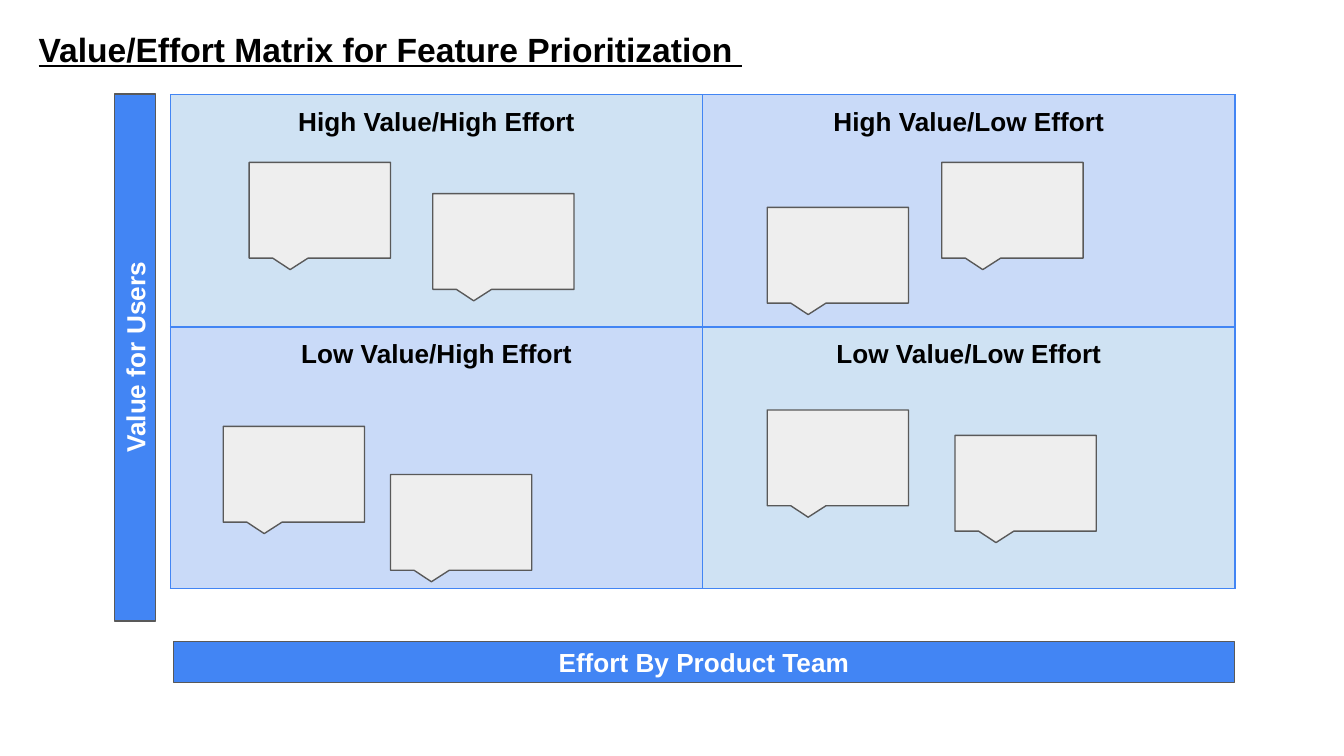
"""Build a value and effort matrix slide."""
import dataclasses
import typing

import lxml.etree
import pptx
import pptx.dml.color
import pptx.enum.shapes
import pptx.enum.text
import pptx.oxml.ns
import pptx.util

Cm = pptx.util.Cm
Pt = pptx.util.Pt
Shape = pptx.enum.shapes.MSO_SHAPE
Align = pptx.enum.text.PP_ALIGN

HUES = {
    "black": "000000",
    "white": "FFFFFF",
    "blue": "4285F4",
    "sky": "CFE2F3",
    "mist": "C9DAF8",
    "note": "EEEEEE",
    "edge": "595959",
}
INSET = Cm(0.25)
LINE = Pt(0.75)


@dataclasses.dataclass
class Box:
    left: float
    top: float
    width: float
    height: float

    def place(self) -> tuple:
        return Cm(self.left), Cm(self.top), Cm(self.width), Cm(self.height)


@dataclasses.dataclass
class Bar:
    text: str
    box: Box
    turn: int = 0


@dataclasses.dataclass
class Note:
    left: float
    top: float


GRID = Box(3.22, 1.79, 20.12, 9.34)
ROWS = (4.39, 4.95)
CELLS = (
    (("High Value/High Effort", "sky"), ("High Value/Low Effort", "mist")),
    (("Low Value/High Effort", "mist"), ("Low Value/Low Effort", "sky")),
)
BARS = (
    Bar("Effort By Product Team", Box(3.28, 12.13, 20.05, 0.77)),
    Bar("Value for Users", Box(-2.43, 6.37, 9.96, 0.77), 270),
)
NOTES = (
    Note(4.71, 3.07), Note(8.18, 3.66), Note(4.22, 8.06), Note(7.38, 8.97),
    Note(14.5, 3.92), Note(17.8, 3.07), Note(14.5, 7.75), Note(18.05, 8.23),
)


def tint(name: str) -> pptx.dml.color.RGBColor:
    return pptx.dml.color.RGBColor.from_string(HUES[name])


def paint(item: typing.Any, hue: str) -> None:
    item.fill.solid()
    item.fill.fore_color.rgb = tint(hue)


def pad(item: typing.Any) -> None:
    item.margin_left = item.margin_right = INSET
    item.margin_top = item.margin_bottom = INSET


def write(frame: typing.Any, text: str, hue: str, size: int = 14,
          align: typing.Any = Align.CENTER, under: bool = False) -> None:
    part = frame.paragraphs[0]
    part.alignment = align
    run = part.add_run()
    run.text = text
    font = run.font
    font.name, font.size, font.bold = "Arial", Pt(size), True
    if under:
        font.underline = True
    font.color.rgb = tint(hue)


def rule(cell: typing.Any) -> None:
    name = pptx.oxml.ns.qn
    props = cell._tc.get_or_add_tcPr()
    for side in "LRTB":
        line = lxml.etree.SubElement(props, name(f"a:ln{side}"), w=str(int(LINE)))
        fill = lxml.etree.SubElement(line, name("a:solidFill"))
        lxml.etree.SubElement(fill, name("a:srgbClr"), val=HUES["blue"])


def draw_grid(slide: typing.Any) -> None:
    table = slide.shapes.add_table(2, 2, *GRID.place()).table
    table.first_row = table.horz_banding = False
    for row, high, items in zip(table.rows, ROWS, CELLS):
        row.height = Cm(high)
        for cell, (text, hue) in zip(row.cells, items):
            pad(cell)
            rule(cell)
            paint(cell, hue)
            write(cell.text_frame, text, "black")


def draw_shape(slide: typing.Any, kind: typing.Any, box: Box, hue: str) -> typing.Any:
    shape = slide.shapes.add_shape(kind, *box.place())
    shape.shadow.inherit = False
    paint(shape, hue)
    shape.line.color.rgb = tint("edge")
    shape.line.width = LINE
    return shape


def draw_bar(slide: typing.Any, bar: Bar) -> None:
    shape = draw_shape(slide, Shape.RECTANGLE, bar.box, "blue")
    shape.rotation = bar.turn
    frame = shape.text_frame
    pad(frame)
    frame.word_wrap = True
    frame.vertical_anchor = pptx.enum.text.MSO_ANCHOR.MIDDLE
    write(frame, bar.text, "white")


def draw_note(slide: typing.Any, note: Note) -> None:
    box = Box(note.left, note.top, 2.67, 1.81)
    shape = draw_shape(slide, Shape.ROUNDED_RECTANGULAR_CALLOUT, box, "note")
    for spot, value in enumerate((-0.21, 0.62, 0)):
        shape.adjustments[spot] = value


def draw_title(slide: typing.Any) -> None:
    frame = slide.shapes.add_textbox(*Box(0.48, 0.3, 16.69, 1.05).place()).text_frame
    pad(frame)
    frame.word_wrap = True
    write(frame, "Value/Effort Matrix for Feature Prioritization ", "black",
          18, Align.LEFT, True)


def main() -> None:
    deck = pptx.Presentation()
    deck.slide_width, deck.slide_height = Cm(25.4), Cm(14.29)
    slide = deck.slides.add_slide(deck.slide_layouts[6])
    draw_grid(slide)
    for bar in BARS:
        draw_bar(slide, bar)
    draw_title(slide)
    for note in NOTES:
        draw_note(slide, note)
    deck.save("out.pptx")


if __name__ == "__main__":
    main()
